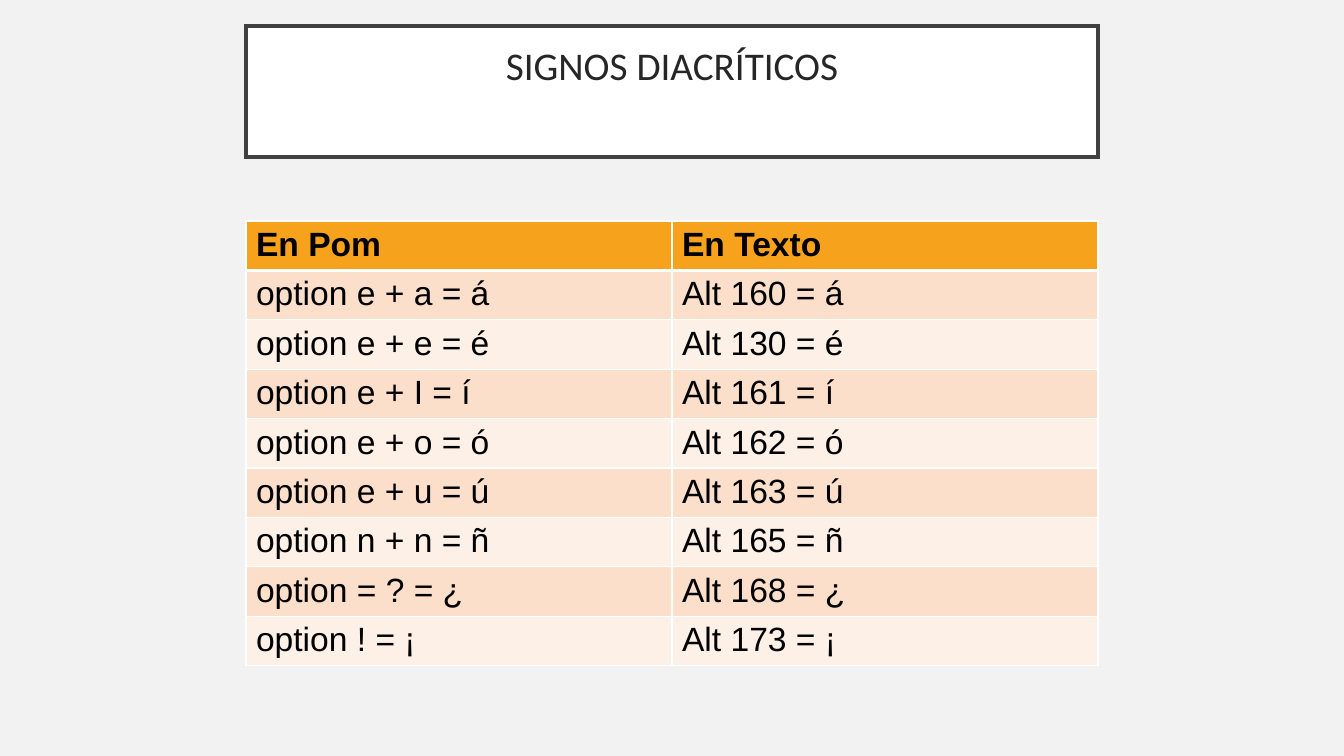
"""Build a slide with a table of keyboard shortcuts for Spanish diacritics."""
from dataclasses import dataclass

from lxml import etree
from pptx import Presentation
from pptx.dml.color import RGBColor
from pptx.enum.shapes import MSO_SHAPE
from pptx.enum.text import MSO_ANCHOR, PP_ALIGN
from pptx.oxml.ns import qn
from pptx.util import Emu, Pt

RECTANGLE = MSO_SHAPE.RECTANGLE
MIDDLE = MSO_ANCHOR.MIDDLE
CENTER = PP_ALIGN.CENTER

PAGE_GREY = RGBColor(0xF2, 0xF2, 0xF2)
WHITE = RGBColor(0xFF, 0xFF, 0xFF)
BLACK = RGBColor(0x00, 0x00, 0x00)
FRAME_GREY = RGBColor(0x40, 0x40, 0x40)
TITLE_GREY = RGBColor(0x26, 0x26, 0x26)
HEADER_ORANGE = RGBColor(0xF6, 0xA2, 0x1D)
BANDS = (RGBColor(0xFB, 0xDF, 0xCB), RGBColor(0xFD, 0xF0, 0xE7))

PX_PER_INCH = 100.8
LEFT, WIDTH = 246, 852
THIN, THICK = 1, 3


@dataclass(frozen=True)
class Shortcut:
    """The two ways to type one sign."""

    option_keys: str
    alt_code: str


HEADINGS = Shortcut("En Pom", "En Texto")
SHORTCUTS = (
    Shortcut("option e + a = á", "Alt 160 = á"),
    Shortcut("option e + e = é", "Alt 130 = é"),
    Shortcut("option e + I = í", "Alt 161 = í"),
    Shortcut("option e + o = ó", "Alt 162 = ó"),
    Shortcut("option e + u = ú", "Alt 163 = ú"),
    Shortcut("option n + n = ñ", "Alt 165 = ñ"),
    Shortcut("option = ? = ¿", "Alt 168 = ¿"),
    Shortcut("option ! = ¡", "Alt 173 = ¡"),
)


def px(length: int) -> Emu:
    """Turn pixels into EMU."""
    return Emu(round(length * 914400 / PX_PER_INCH))


def style_font(font, name: str, size: int, color: RGBColor, bold: bool = False) -> None:
    """Set the typeface, size, colour and weight of a font."""
    font.name = name
    font.size = Pt(size)
    font.color.rgb = color
    font.bold = bold


def draw_title(page, text: str) -> None:
    """Draw the title in its square-cornered frame."""
    box = page.shapes.add_shape(RECTANGLE, px(LEFT), px(26), px(WIDTH), px(131))
    box.shadow.inherit = False
    box.fill.solid()
    box.fill.fore_color.rgb = WHITE
    box.line.color.rgb = FRAME_GREY
    box.line.width = Pt(2.5)
    outline = box._element.spPr.find(qn("a:ln"))
    etree.SubElement(outline, qn("a:miter"), lim="800000")
    frame = box.text_frame
    frame.word_wrap = True
    frame.vertical_anchor = MIDDLE
    frame.margin_left = frame.margin_right = frame.margin_top = px(20)
    frame.margin_bottom = px(67)
    para = frame.paragraphs[0]
    para.text = text
    para.alignment = CENTER
    para.line_spacing = 0.9
    style_font(para.font, "Calibri", 28, TITLE_GREY)


def draw_borders(cell, top: int, bottom: int) -> None:
    """Give a cell white borders, with widths in points."""
    properties = cell._tc.get_or_add_tcPr()
    for side, width in (("L", THIN), ("R", THIN), ("T", top), ("B", bottom)):
        line = etree.SubElement(properties, qn(f"a:ln{side}"), w=str(Pt(width)))
        fill = etree.SubElement(line, qn("a:solidFill"))
        etree.SubElement(fill, qn("a:srgbClr"), val=str(WHITE))


def fill_cell(cell, text: str, row: int) -> None:
    """Write and style one cell according to its row."""
    is_header = row == 0
    draw_borders(cell, THICK if row == 1 else THIN, THICK if is_header else THIN)
    cell.fill.solid()
    cell.fill.fore_color.rgb = HEADER_ORANGE if is_header else BANDS[(row - 1) % 2]
    para = cell.text_frame.paragraphs[0]
    para.text = text
    style_font(para.font, "Arial", 24, BLACK, is_header)


def draw_table(page) -> None:
    """Draw the table of shortcuts."""
    rows = (HEADINGS, *SHORTCUTS)
    table = page.shapes.add_table(
        len(rows), 2, px(LEFT), px(221), px(WIDTH), px(445)
    ).table
    for row, shortcut in enumerate(rows):
        for column, text in enumerate((shortcut.option_keys, shortcut.alt_code)):
            fill_cell(table.cell(row, column), text, row)


def main() -> None:
    """Build and save the deck."""
    deck = Presentation()
    deck.slide_width, deck.slide_height = px(1344), px(756)
    page = deck.slides.add_slide(deck.slide_layouts[6])
    page.background.fill.solid()
    page.background.fill.fore_color.rgb = PAGE_GREY
    draw_title(page, "SIGNOS DIACRÍTICOS")
    draw_table(page)
    deck.save("out.pptx")


if __name__ == "__main__":
    main()
